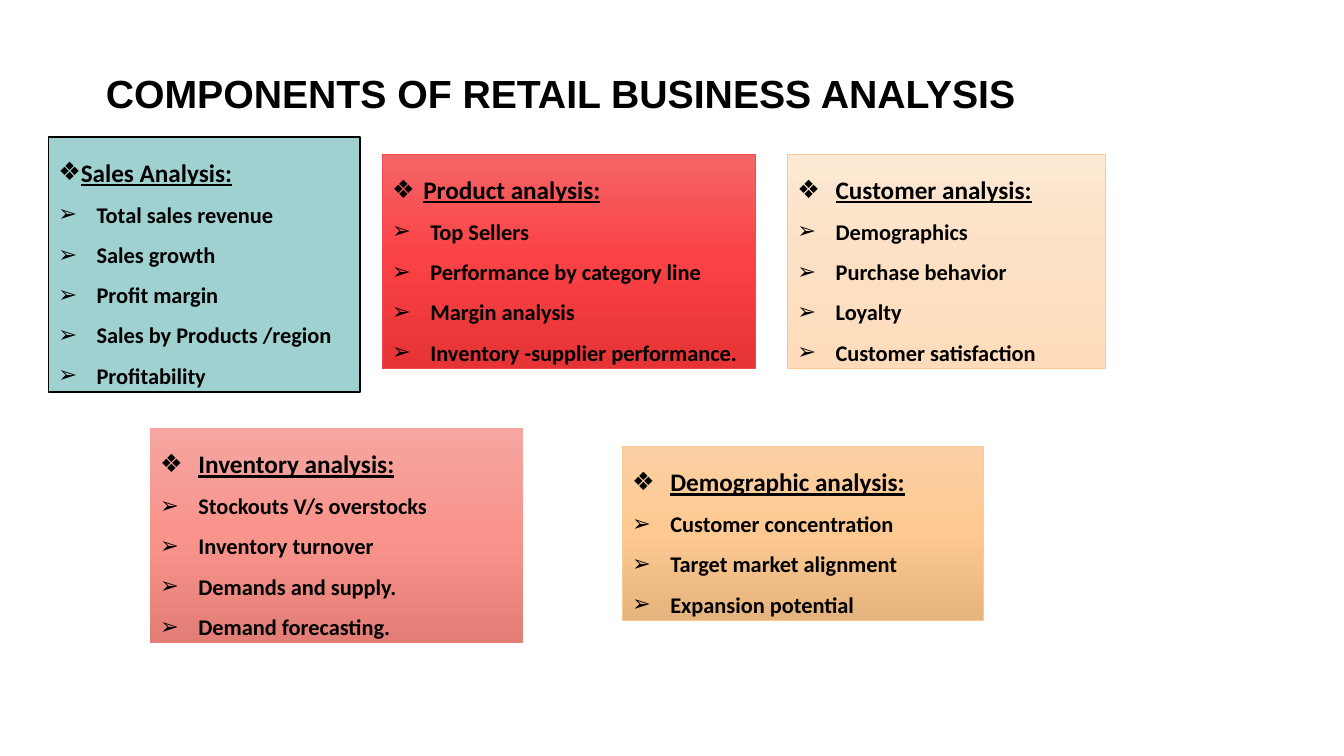
import copy
import lxml.etree
import pptx
import pptx.dml.color
import pptx.enum.shapes
import pptx.enum.text
import pptx.oxml.ns
import pptx.util

Inches = pptx.util.Inches
Pt = pptx.util.Pt
qn = pptx.oxml.ns.qn

COLORS = {
    "text": "000000",
    "sales": ["9FD1D0"],
    "product": ["F56567", "FA4144", "E53336"],
    "customer": ["FDE9D4", "FCE0C4", "FEDCBB"],
    "demographic": ["FBD0A4", "FEC991", "E5B37E"],
    "inventory": ["F6A5A0", "F8948C", "E37E76"],
    "red": "F2494C",
    "orange": "F9C996",
}

# name, (left, top, width, height), (line color, points), head indent, head, items
CARDS = [
    ("product", (3.79, 1.53, 3.7, 2.13), ("red", 0.5), 0.31, "Product analysis:",
     ["Top Sellers", "Performance by category line", "Margin analysis",
      "Inventory -supplier performance."]),
    ("customer", (7.81, 1.53, 3.15, 2.13), ("orange", 0.5), 0.38, "Customer analysis:",
     ["Demographics", "Purchase behavior", "Loyalty", "Customer satisfaction"]),
    ("demographic", (6.17, 4.43, 3.58, 1.73), ("orange", 0.5), 0.38,
     "Demographic analysis:",
     ["Customer concentration", "Target market alignment", "Expansion potential"]),
    ("inventory", (1.49, 4.25, 3.7, 2.13), None, 0.38, "Inventory analysis:",
     ["Stockouts V/s overstocks", "Inventory turnover", "Demands and supply.",
      "Demand forecasting."]),
    ("sales", (0.48, 1.36, 3.09, 2.53), ("text", 1), 0, "Sales Analysis:",
     ["Total sales revenue", "Sales growth", "Profit margin",
      "Sales by Products /region", "Profitability"]),
]


def rgb(code):
    return pptx.dml.color.RGBColor.from_string(code)


def assign(target, values):
    for name, value in values.items():
        setattr(target, name, value)


class Deck:
    """Holds the text style and the current slide."""

    title = {"name": "Arial", "size": Pt(28), "bold": True}
    head = {"name": "Calibri", "size": Pt(18), "bold": True, "underline": True}
    item = {"name": "Calibri", "size": Pt(16), "bold": True}
    frame = {"word_wrap": True,
             "vertical_anchor": pptx.enum.text.MSO_ANCHOR.TOP,
             "auto_size": pptx.enum.text.MSO_AUTO_SIZE.SHAPE_TO_FIT_TEXT}
    left = pptx.enum.text.PP_ALIGN.LEFT

    def __init__(self, show):
        self.slide = show.slides.add_slide(show.slide_layouts[5])

    def add_text(self, para, text, style, spacing):
        assign(para, {"alignment": self.left, "line_spacing": spacing})
        run = para.add_run()
        run.text = text
        assign(run.font, style)
        run.font.color.rgb = rgb(COLORS["text"])

    def add_title(self, text, box):
        shape = self.slide.shapes.title
        assign(shape, dict(zip(("left", "top", "width", "height"), map(Inches, box))))
        assign(shape.text_frame, {
            "word_wrap": True,
            "vertical_anchor": pptx.enum.text.MSO_ANCHOR.BOTTOM,
            "auto_size": pptx.enum.text.MSO_AUTO_SIZE.NONE})
        self.add_text(shape.text_frame.paragraphs[0], text, self.title, 0.9)

    def add_bullet(self, para, mark, indent):
        props = para._p.get_or_add_pPr()
        props.set("marL", str(Inches(indent)))
        props.set("indent", str(-Inches(indent)))
        lxml.etree.SubElement(props, qn("a:buFont")).set("typeface", "Arial")
        lxml.etree.SubElement(props, qn("a:buChar")).set("char", mark)

    def paint(self, shape, codes):
        """Fill with one color, or with three from top to bottom."""
        if len(codes) == 1:
            shape.fill.solid()
            shape.fill.fore_color.rgb = rgb(codes[0])
            return
        shape.fill.gradient()
        shape.fill.gradient_angle = 270
        first = shape._element.spPr.find(".//" + qn("a:gs"))
        first.addnext(copy.deepcopy(first))
        for stop, code, place in zip(shape.fill.gradient_stops, codes, (0, 0.5, 1)):
            stop.color.rgb = rgb(code)
            stop.position = place

    def add_card(self, name, box, line, indent, head, items):
        shape = self.slide.shapes.add_shape(
            pptx.enum.shapes.MSO_SHAPE.RECTANGLE, *map(Inches, box))
        shape.shadow.inherit = False
        self.paint(shape, COLORS[name])
        if line:
            shape.line.color.rgb = rgb(COLORS[line[0]])
            shape.line.width = Pt(line[1])
        else:
            shape.line.fill.background()
        frame = shape.text_frame
        assign(frame, self.frame)
        para = frame.paragraphs[0]
        self.add_text(para, head, self.head, 1.5)
        self.add_bullet(para, "❖", indent)
        for text in items:
            para = frame.add_paragraph()
            self.add_text(para, text, self.item, 1.5)
            if text == items[-1]:
                para.space_after = Pt(8)
            self.add_bullet(para, "➢", 0.38)


def main():
    show = pptx.Presentation()
    assign(show, {"slide_width": Inches(13.33), "slide_height": Inches(7.5)})
    deck = Deck(show)
    deck.add_title("COMPONENTS OF RETAIL BUSINESS ANALYSIS", (0.95, 0.36, 10.44, 0.85))
    for card in CARDS:
        deck.add_card(*card)
    show.save("out.pptx")


if __name__ == "__main__":
    main()
